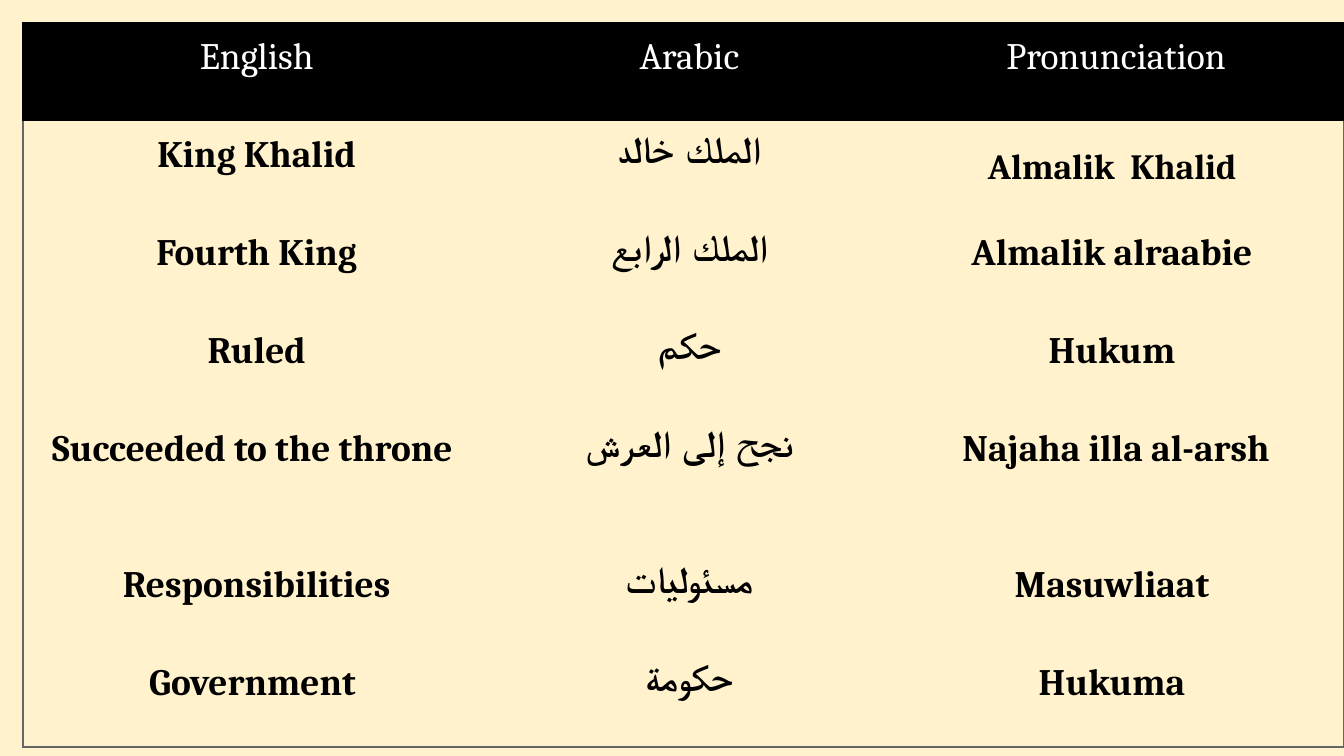
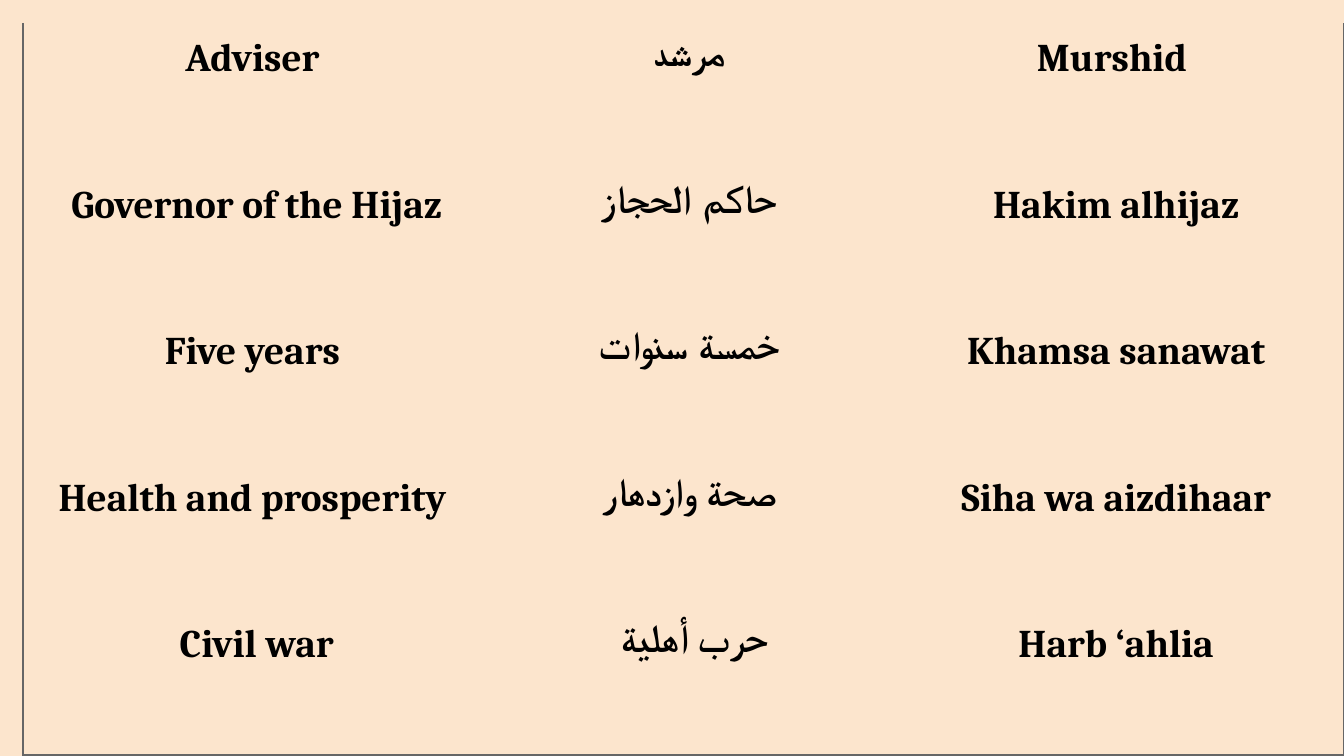
from lxml import etree
from pptx import Presentation
from pptx.dml.color import RGBColor
from pptx.enum.text import PP_ALIGN
from pptx.oxml.ns import qn
from pptx.util import Inches, Pt

CENTER = PP_ALIGN.CENTER
FONT = "Cambria"
BLACK, WHITE, RULE = "000000", "FFFFFF", "666666"
RULE_WIDTH = Pt(0.96)
LEFT, TOP = 0.17, 0.17
COLUMN_WIDTHS = (3.48, 2.96, 3.39)
ARABIC_COLUMN = 1
NO_STYLE = "{2D5ABB26-0587-4C30-8999-92F81FD0307C}"

HEADINGS = ("English", "Arabic", "Pronunciation")
RULER_WORDS = [
    ("King Khalid", "الملك خالد", "Almalik  Khalid "),
    ("Fourth King", "الملك الرابع", "Almalik alraabie "),
    ("Ruled", "حكم", "Hukum "),
    ("Succeeded to the throne ", "نجح إلى العرش", "Najaha illa al-arsh"),
    ("Responsibilities", "مسئوليات", "Masuwliaat "),
    ("Government ", "حكومة", "Hukuma "),
]
REIGN_WORDS = [
    ("Adviser ", "مرشد", "Murshid "),
    ("Governor of the Hijaz", "حاكم الحجاز", "Hakim alhijaz"),
    ("Five years ", "خمسة سنوات", "Khamsa sanawat"),
    ("Health and prosperity ", "صحة وازدهار", "Siha wa aizdihaar"),
    ("Civil war", "حرب أهلية ", "Harb ‘ahlia"),
]
VOCABULARY = [
    {"background": "FFF2CC", "headings": HEADINGS, "words": RULER_WORDS,
     "size": 20, "row_height": 0.73, "tall_rows": {4: 1.01},
     "special": {"Almalik  Khalid ": (19, 1.5)}},
    {"background": "FCE5CD", "headings": None, "words": REIGN_WORDS,
     "size": 21, "row_height": 1.09, "tall_rows": {}, "special": {}},
]


def rgb(value):
    return RGBColor.from_string(value)


def set_borders(cell, colours):
    properties = cell._tc.get_or_add_tcPr()
    for side in "LRTB":
        line = etree.SubElement(properties, qn(f"a:ln{side}"), w=str(RULE_WIDTH))
        if side in colours:
            fill = etree.SubElement(line, qn("a:solidFill"))
            etree.SubElement(fill, qn("a:srgbClr"), val=colours[side])
            etree.SubElement(line, qn("a:prstDash"), val="solid")
        else:
            etree.SubElement(line, qn("a:noFill"))


def write_word(cell, word, size, spacing, heading, arabic):
    cell.margin_left = cell.margin_right = Inches(0.07)
    cell.margin_top = cell.margin_bottom = Inches(0.05)
    cell.text_frame.text = word
    paragraph = cell.text_frame.paragraphs[0]
    paragraph.alignment = CENTER
    paragraph.line_spacing = spacing
    if arabic:
        paragraph._p.get_or_add_pPr().set("rtl", "1")
    elif not heading:
        paragraph.space_after = Pt(5)
    font = paragraph.runs[0].font
    font.name = FONT
    font.size = Pt(size)
    font.bold = not heading
    font.color.rgb = rgb(WHITE if heading else BLACK)


def add_vocabulary(slide, vocabulary):
    background = slide.background.fill
    background.solid()
    background.fore_color.rgb = rgb(vocabulary["background"])

    headings = vocabulary["headings"]
    rows = ([headings] if headings else []) + vocabulary["words"]
    heights = [vocabulary["tall_rows"].get(i, vocabulary["row_height"])
               for i in range(len(rows))]
    frame = slide.shapes.add_table(
        len(rows), len(COLUMN_WIDTHS), Inches(LEFT), Inches(TOP),
        Inches(sum(COLUMN_WIDTHS)), Inches(sum(heights)))
    table = frame.table
    table.first_row = table.horz_banding = False
    table._tbl.tblPr.find(qn("a:tableStyleId")).text = NO_STYLE
    for column, width in zip(table.columns, COLUMN_WIDTHS):
        column.width = Inches(width)

    for r, words in enumerate(rows):
        table.rows[r].height = Inches(heights[r])
        heading = words is headings
        edge = BLACK if heading else RULE
        for c, word in enumerate(words):
            cell = table.cell(r, c)
            size, spacing = vocabulary["special"].get(word, (vocabulary["size"], 1.15))
            write_word(cell, word, size, spacing, heading,
                       c == ARABIC_COLUMN and not heading)
            sides = {"L": c == 0, "R": c == len(words) - 1,
                     "T": heading, "B": r == len(rows) - 1}
            set_borders(cell, {side: edge for side, drawn in sides.items() if drawn})
            if heading:
                cell.fill.solid()
                cell.fill.fore_color.rgb = rgb(BLACK)
            else:
                cell.fill.background()


def main():
    presentation = Presentation()
    presentation.slide_width = Inches(10)
    presentation.slide_height = Inches(10) * 9 // 16
    blank = presentation.slide_layouts[6]
    for vocabulary in VOCABULARY:
        add_vocabulary(presentation.slides.add_slide(blank), vocabulary)
    presentation.save("out.pptx")


if __name__ == "__main__":
    main()
